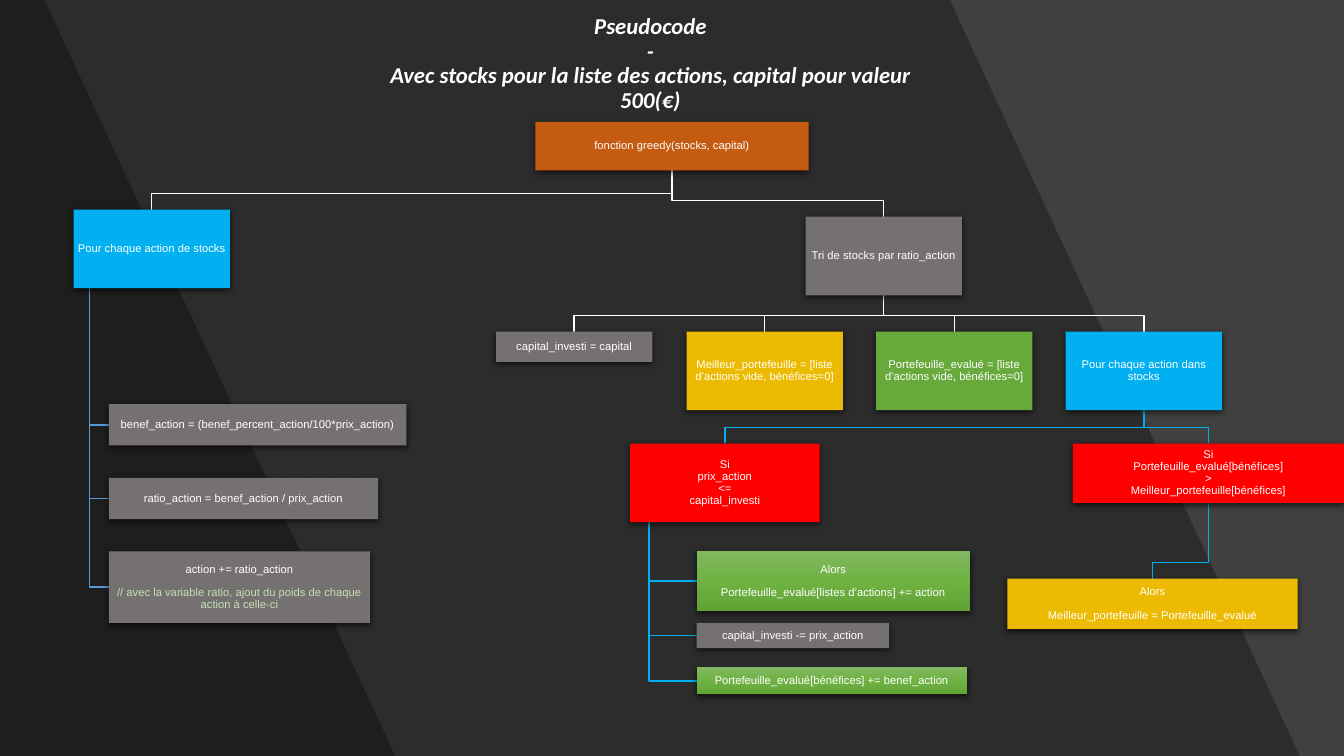
from dataclasses import dataclass

from pptx import Presentation
from pptx.dml.color import RGBColor
from pptx.enum.shapes import MSO_SHAPE
from pptx.enum.text import MSO_ANCHOR, PP_ALIGN
from pptx.oxml import parse_xml
from pptx.oxml.ns import nsdecls, qn
from pptx.shapes.autoshape import Shape
from pptx.shapes.shapetree import SlideShapes
from pptx.text.text import TextFrame
from pptx.util import Inches, Pt

RECTANGLE = MSO_SHAPE.RECTANGLE
MIDDLE, TOP = MSO_ANCHOR.MIDDLE, MSO_ANCHOR.TOP
CENTER = PP_ALIGN.CENTER
CELL = Inches(0.1)
COLUMNS, ROWS = 133.3, 75
BUS_RISE = 1.6
TRUNK_SHARE = 0.1

Point = tuple[float, float]


@dataclass(frozen=True)
class Theme:
    background: str = "404040"
    shade: str = "000000"
    shade_alpha: int = 30
    text: str = "FFFFFF"
    remark: str = "C5E0B4"
    function: str = "C55A11"
    loop: str = "00B0F0"
    step: str = "767171"
    best: str = "ECBA00"
    evaluated: str = "67A93B"
    condition: str = "FF0000"
    fresh: tuple[str, ...] = ("81B861", "6FB242", "62A336")
    main_link: str = "FFFFFF"
    ratio_link: str = "5B9BD5"
    loop_link: str = "00B0F0"
    title_font: str = "Calibri"
    node_font: str = "Arial"
    title_size: float = 16.2
    node_size: float = 8
    link_width: float = 1


THEME = Theme()


@dataclass(frozen=True)
class Node:
    column: float
    row: float
    columns: float
    rows: float
    fill: str | tuple[str, ...]
    paragraphs: tuple[str, ...]
    remark: str = ""


@dataclass(frozen=True)
class Branch:
    parent: str
    children: tuple[str, ...]
    color: str
    hanging: bool = False


NODES = {
    "greedy": Node(53.1, 12.1, 27.1, 4.8, THEME.function, ("fonction greedy(stocks, capital)",)),
    "each": Node(7.3, 20.8, 15.5, 7.8, THEME.loop, ("Pour chaque action de stocks",)),
    "benefit": Node(10.8, 40.1, 29.5, 4.1, THEME.step,
                    ("benef_action = (benef_percent_action/100*prix_action)",)),
    "ratio": Node(10.8, 47.4, 26.7, 4.1, THEME.step, ("ratio_action = benef_action / prix_action",)),
    "weight": Node(10.8, 54.7, 25.9, 7.1, THEME.step, ("action += ratio_action",),
                   "// avec la variable ratio, ajout du poids de chaque action à celle-ci"),
    "sort": Node(79.9, 21.5, 15.5, 7.8, THEME.step, ("Tri de stocks par ratio_action",)),
    "capital": Node(49.2, 32.9, 15.5, 3, THEME.step, ("capital_investi = capital",)),
    "best": Node(68.1, 32.9, 15.5, 7.8, THEME.best,
                 ("Meilleur_portefeuille = [liste d’actions vide, bénéfices=0]",)),
    "evaluated": Node(86.9, 32.9, 15.5, 7.8, THEME.evaluated,
                      ("Portefeuille_evalué = [liste d’actions vide, bénéfices=0]",)),
    "scan": Node(105.7, 32.9, 15.5, 7.8, THEME.loop, ("Pour chaque action dans stocks",)),
    "affordable": Node(62.5, 44, 18.8, 7.8, THEME.condition,
                       ("Si\nprix_action\n<=\ncapital_investi",)),
    "append": Node(69.1, 54.7, 27.1, 5.9, THEME.fresh,
                   ("Alors", "Portefeuille_evalué[listes d’actions] += action")),
    "spend": Node(69.1, 61.8, 19.1, 2.5, THEME.step, ("capital_investi -= prix_action",)),
    "gain": Node(69.1, 66.2, 26.8, 2.7, THEME.fresh,
                 ("Portefeuille_evalué[bénéfices] += benef_action",)),
    "better": Node(106.4, 44, 26.9, 5.9, THEME.condition,
                   ("Si\nPortefeuille_evalué[bénéfices]\n>\nMeilleur_portefeuille[bénéfices]",)),
    "replace": Node(99.9, 57.4, 28.8, 5, THEME.best,
                    ("Alors", "Meilleur_portefeuille = Portefeuille_evalué")),
}

BRANCHES = (
    Branch("better", ("replace",), THEME.loop_link),
    Branch("affordable", ("gain", "spend", "append"), THEME.loop_link, hanging=True),
    Branch("scan", ("better", "affordable"), THEME.loop_link),
    Branch("sort", ("scan", "evaluated", "best", "capital"), THEME.main_link),
    Branch("each", ("weight", "ratio", "benefit"), THEME.ratio_link, hanging=True),
    Branch("greedy", ("sort", "each"), THEME.main_link),
)


def cells(count: float) -> int:
    return round(count * CELL)


def write(frame: TextFrame, paragraphs: tuple[str, ...], *, font: str, size: float,
          remark: str = "", bold: bool = False, italic: bool = False, gap: float = 0,
          anchor: MSO_ANCHOR = MIDDLE, margin: float = 0.1) -> None:
    frame.word_wrap = True
    frame.vertical_anchor = anchor
    frame.margin_left = frame.margin_right = frame.margin_top = frame.margin_bottom = cells(margin)
    entries = [(words, THEME.text) for words in paragraphs]
    if remark:
        entries.append((remark, THEME.remark))
    for index, (words, color) in enumerate(entries):
        paragraph = frame.add_paragraph() if index else frame.paragraphs[0]
        paragraph.alignment = CENTER
        paragraph.line_spacing = 0.9
        paragraph.space_before = Pt(gap if index else 0)
        for number, line in enumerate(words.split("\n")):
            if number:
                paragraph.add_line_break()
            run = paragraph.add_run()
            run.text = line
            run.font.name, run.font.size = font, Pt(size)
            run.font.bold, run.font.italic = bold, italic
            run.font.color.rgb = RGBColor.from_string(color)


def outline(shapes: SlideShapes, points: tuple[Point, ...], close: bool) -> Shape:
    start, *others = [(cells(x), cells(y)) for x, y in points]
    builder = shapes.build_freeform(*start)
    builder.add_line_segments(others, close=close)
    shape = builder.convert_to_shape()
    shape.shadow.inherit = False
    return shape


def draw_shade(shapes: SlideShapes, top: float, bottom: float) -> None:
    shade = outline(shapes, ((0, 0), (top, 0), (bottom, ROWS), (0, ROWS)), True)
    shade.fill.solid()
    shade.fill.fore_color.rgb = RGBColor.from_string(THEME.shade)
    shade.line.fill.background()
    color = shade.element.spPr.find(qn("a:solidFill"))[0]
    color.append(parse_xml(f'<a:alpha {nsdecls("a")} val="{THEME.shade_alpha * 1000}"/>'))


def draw_branch(shapes: SlideShapes, branch: Branch) -> None:
    parent = NODES[branch.parent]
    bottom = parent.row + parent.rows
    trunk = parent.column + parent.columns * (TRUNK_SHARE if branch.hanging else 0.5)
    for name in branch.children:
        child = NODES[name]
        if branch.hanging:
            level = child.row + child.rows / 2
            bends = ((trunk, level), (child.column, level))
        else:
            center, bus = child.column + child.columns / 2, child.row - BUS_RISE
            bends = ((trunk, bus), (center, bus), (center, child.row))
        link = outline(shapes, ((trunk, bottom), *bends), False)
        link.fill.background()
        link.line.color.rgb = RGBColor.from_string(branch.color)
        link.line.width = Pt(THEME.link_width)


def draw_node(shapes: SlideShapes, node: Node) -> None:
    box = shapes.add_shape(RECTANGLE, *map(cells, (node.column, node.row, node.columns, node.rows)))
    box.shadow.inherit = False
    box.line.fill.background()
    properties = box.element.spPr
    if isinstance(node.fill, str):
        box.fill.solid()
        box.fill.fore_color.rgb = RGBColor.from_string(node.fill)
    else:
        box.fill.background()
        stops = "".join(f'<a:gs pos="{index * 50000}"><a:srgbClr val="{color}"/></a:gs>'
                        for index, color in enumerate(node.fill))
        properties.replace(properties.find(qn("a:noFill")), parse_xml(
            f'<a:gradFill {nsdecls("a")}><a:gsLst>{stops}</a:gsLst>'
            '<a:lin ang="5400000" scaled="0"/></a:gradFill>'))
    properties.find(qn("a:effectLst")).append(parse_xml(
        f'<a:outerShdw {nsdecls("a")} blurRad="{Pt(4.5)}" dist="{Pt(1.5)}" dir="5400000" '
        'algn="ctr" rotWithShape="0"><a:srgbClr val="000000"><a:alpha val="63000"/>'
        '</a:srgbClr></a:outerShdw>'))
    write(box.text_frame, node.paragraphs, remark=node.remark, font=THEME.node_font,
          size=THEME.node_size, gap=THEME.node_size)


def main() -> None:
    deck = Presentation()
    deck.slide_width, deck.slide_height = cells(COLUMNS), cells(ROWS)
    slide = deck.slides.add_slide(deck.slide_layouts[6])
    slide.background.fill.solid()
    slide.background.fill.fore_color.rgb = RGBColor.from_string(THEME.background)
    draw_shade(slide.shapes, 94.2, 128.9)
    draw_shade(slide.shapes, 4.4, 39.2)
    title = slide.shapes.add_textbox(*map(cells, (36.1, 1.2, 56.8, 13.2)))
    write(title.text_frame,
          ("Pseudocode\n-\nAvec stocks pour la liste des actions, capital pour valeur 500(€)",),
          font=THEME.title_font, size=THEME.title_size, bold=True, italic=True,
          anchor=TOP, margin=0.3)
    for branch in BRANCHES:
        draw_branch(slide.shapes, branch)
    for node in NODES.values():
        draw_node(slide.shapes, node)
    deck.save("out.pptx")


if __name__ == "__main__":
    main()
